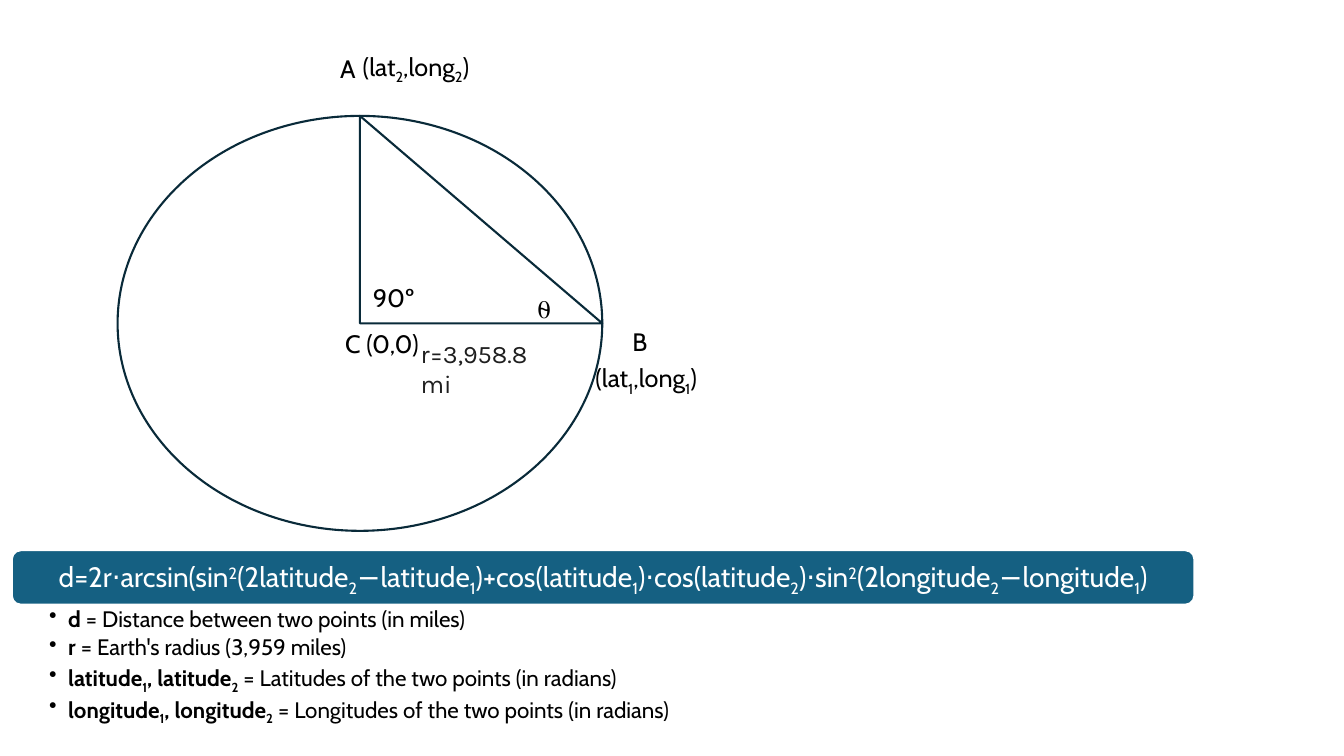
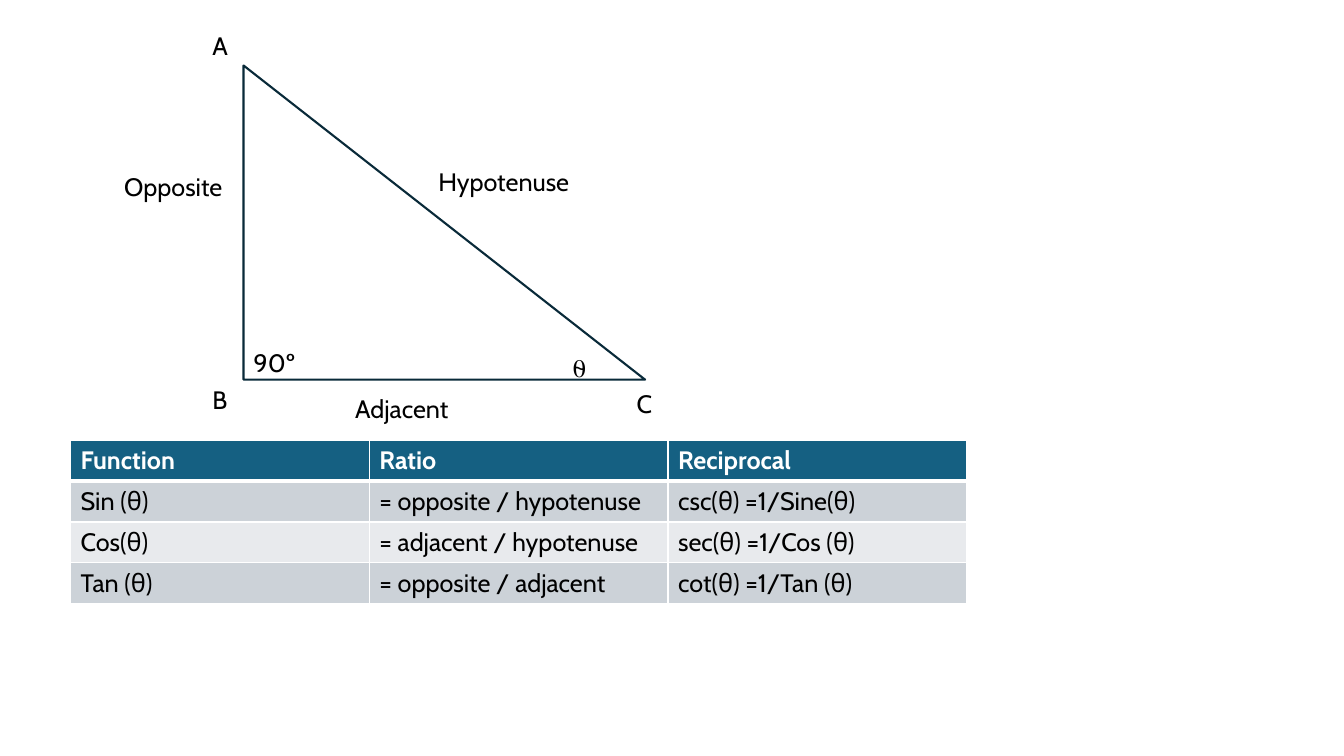
from dataclasses import dataclass

from lxml.etree import SubElement
from pptx import Presentation
from pptx.dml.color import RGBColor
from pptx.enum.shapes import MSO_SHAPE as Preset
from pptx.enum.text import MSO_ANCHOR as Anchor
from pptx.oxml.ns import qn
from pptx.util import Inches, Pt

COLUMNS, ROWS = 160, 90
UNIT = Inches(1) / 12
LABEL_HEIGHT = 4.8
SCRIPT_LEVELS = {"_": "-25000", "^": "30000"}


@dataclass(frozen=True)
class Theme:
    font: str = "Cabin"
    radius_font: str = "Karla"
    outline: str = "092A39"
    accent: str = "156082"
    ink: str = "000000"
    soft_ink: str = "1F1F1F"
    paper: str = "FFFFFF"
    odd_row: str = "CCD2D8"
    even_row: str = "E8EAED"
    label_size: int = 18
    formula_size: int = 20
    bullet_size: int = 16
    line_width: float = 1.5
    border: int = 1
    header_border: int = 3


THEME = Theme()


@dataclass(frozen=True)
class Box:
    left: float
    top: float
    width: float
    height: float

    def inner(self, column, row, width, height):
        return Box(self.left + column, self.top + row, width, height)

    def emu(self):
        return [round(n * UNIT) for n in (self.left, self.top, self.width, self.height)]


def color(value):
    return RGBColor.from_string(value)


def split_runs(text):
    pieces, level, bold = [], None, False
    for mark in text:
        if mark == "*":
            bold = not bold
        elif mark in SCRIPT_LEVELS:
            level = SCRIPT_LEVELS[mark]
        else:
            if pieces and level is None and pieces[-1][1:] == [None, bold]:
                pieces[-1][0] += mark
            else:
                pieces.append([mark, level, bold])
            level = None
    return pieces


def add_bullet(paragraph):
    properties = paragraph._p.get_or_add_pPr()
    properties.set("marL", str(Inches(0.19)))
    properties.set("indent", str(-Inches(0.19)))
    SubElement(properties, qn("a:buChar"), char="•")


def write_text(frame, *lines, size=THEME.label_size, font=THEME.font, ink=THEME.ink,
               bold=False, bullets=False, spacing=None, after=None,
               anchor=Anchor.TOP, insets=(0.1, 0.05, 0.1, 0.05)):
    frame.word_wrap = True
    frame.vertical_anchor = anchor
    (frame.margin_left, frame.margin_top,
     frame.margin_right, frame.margin_bottom) = map(Inches, insets)
    for index, line in enumerate(lines):
        paragraph = frame.add_paragraph() if index else frame.paragraphs[0]
        if bullets:
            add_bullet(paragraph)
        paragraph.line_spacing = spacing
        paragraph.space_after = after
        for content, level, strong in split_runs(line):
            run = paragraph.add_run()
            run.text = content
            run.font.name = font
            run.font.size = Pt(size)
            run.font.bold = bold or strong
            run.font.color.rgb = color(ink)
            if level:
                run._r.get_or_add_rPr().set("baseline", level)


def add_text(slide, box, *lines, **style):
    write_text(slide.shapes.add_textbox(*box.emu()).text_frame, *lines, **style)


def add_outline(slide, preset, box, line=THEME.outline, fill=None):
    shape = slide.shapes.add_shape(preset, *box.emu())
    shape.shadow.inherit = False
    shape.line.color.rgb = color(line)
    shape.line.width = Pt(THEME.line_width)
    if fill:
        shape.fill.solid()
        shape.fill.fore_color.rgb = color(fill)
    else:
        shape.fill.background()
    return shape


def add_labels(slide, box, labels):
    for text, column, row, width in labels:
        add_text(slide, box.inner(column, row, width, LABEL_HEIGHT), text)


def draw_circle(slide, box):
    half_width, half_height = box.width / 2, box.height / 2
    add_outline(slide, Preset.OVAL, box)
    add_outline(slide, Preset.RIGHT_TRIANGLE, box.inner(half_width, 0, half_width, half_height))
    add_labels(slide, box, [
        ("C (0,0)", 25.9, 24.7, 15.7),
        ("B", 60.1, 24.5, 5.8),
        ("A", 25.3, -8, 7.7),
        ("90º", 29.2, 19.2, 7.8),
        ("⍬", 48.7, 20.5, 13),
        ("(lat_1,long_1)", 55.7, 28.8, 18.5),
        ("(lat_2,long_2)", 28, -8.3, 80),
    ])
    add_text(slide, box.inner(34.9, 25.9, 18.5, LABEL_HEIGHT), "r=3,958.8 mi",
             font=THEME.radius_font, ink=THEME.soft_ink)


def draw_formula(slide, box):
    band_height = 6.5
    band = add_outline(slide, Preset.ROUNDED_RECTANGLE, box.inner(0, 0, box.width, band_height),
                       line=THEME.paper, fill=THEME.accent)
    write_text(
        band.text_frame,
        "d=2r⋅arcsin(sin^2(2latitude_2−latitude_1)+cos(latitude_1)⋅cos(latitude_2)"
        "⋅sin^2(2longitude_2−longitude_1)",
        size=THEME.formula_size, ink=THEME.paper, spacing=0.9,
        anchor=Anchor.MIDDLE, insets=(0.08, 0.08, 0.08, 0.08))
    add_text(
        slide, box.inner(0, band_height, box.width, box.height - band_height),
        "*d* = Distance between two points (in miles)",
        "*r* = Earth's radius (3,959 miles)",
        "*latitude_1, latitude_2* = Latitudes of the two points (in radians)",
        "*longitude_1, longitude_2* = Longitudes of the two points (in radians)",
        size=THEME.bullet_size, bullets=True, spacing=0.9, after=Pt(3),
        insets=(0.37, 0.03, 0.16, 0.03))


def draw_triangle(slide, box):
    add_outline(slide, Preset.RIGHT_TRIANGLE, box)
    add_labels(slide, box, [
        ("90º", 0, 33, 9.8),
        ("B", -4.9, box.height, 4.2),
        ("C", 45.6, 37.9, 4.6),
        ("⍬", 37.9, 33.5, 13),
        ("Adjacent", 12.1, 38.4, 17.4),
        ("Hypotenuse", 22, 11.4, 21.8),
        ("Opposite", -15.4, 12, 17.4),
        ("A", -4.9, -LABEL_HEIGHT, 4.2),
    ])


def set_borders(cell, **widths):
    properties = cell._tc.get_or_add_tcPr()
    for side in "LRTB":
        width = widths.get(side, THEME.border)
        line = SubElement(properties, qn(f"a:ln{side}"), w=str(Pt(width)))
        fill = SubElement(line, qn("a:solidFill"))
        SubElement(fill, qn("a:srgbClr"), val=THEME.paper)


def draw_ratio_table(slide, box):
    rows = [
        ("Function", "Ratio", "Reciprocal"),
        ("Sin (θ)", "= opposite / hypotenuse", "csc(θ) =1/Sine(θ)"),
        ("Cos(θ)", "= adjacent / hypotenuse", "sec(θ) =1/Cos (θ)"),
        ("Tan (θ)", "= opposite / adjacent", "cot(θ) =1/Tan (θ)"),
    ]
    table = slide.shapes.add_table(len(rows), len(rows[0]), *box.emu()).table
    borders = {0: {"B": THEME.header_border}, 1: {"T": THEME.header_border}}
    for row_index, row in enumerate(rows):
        header = row_index == 0
        band = THEME.odd_row if row_index % 2 else THEME.even_row
        for column_index, text in enumerate(row):
            cell = table.cell(row_index, column_index)
            set_borders(cell, **borders.get(row_index, {}))
            cell.fill.solid()
            cell.fill.fore_color.rgb = color(THEME.accent if header else band)
            write_text(cell.text_frame, text, bold=header,
                       ink=THEME.paper if header else THEME.ink)


def build_distance_slide(slide, page):
    draw_circle(slide, page.inner(14, 13.8, 57.7, 49.4))
    draw_formula(slide, page.inner(1.4, 65.5, 140.8, 20.9))


def build_ratio_slide(slide, page):
    draw_ratio_table(slide, page.inner(8.4, 52.4, 106.7, 19.5))
    draw_triangle(slide, page.inner(29, 7.8, 47.8, 37.4))


def main():
    presentation = Presentation()
    page = Box(0, 0, COLUMNS, ROWS)
    presentation.slide_width, presentation.slide_height = page.emu()[2:]
    blank = presentation.slide_layouts[6]
    for build in (build_distance_slide, build_ratio_slide):
        build(presentation.slides.add_slide(blank), page)
    presentation.save("out.pptx")


if __name__ == "__main__":
    main()
